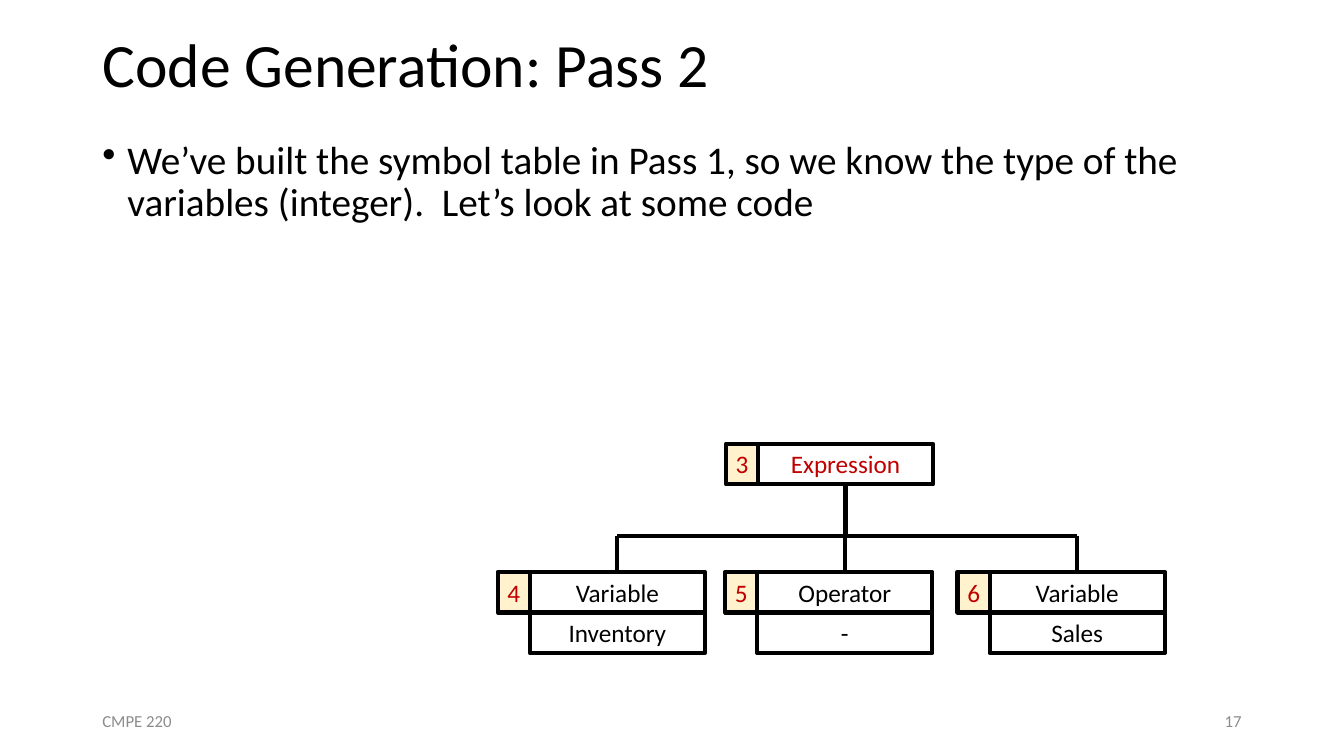
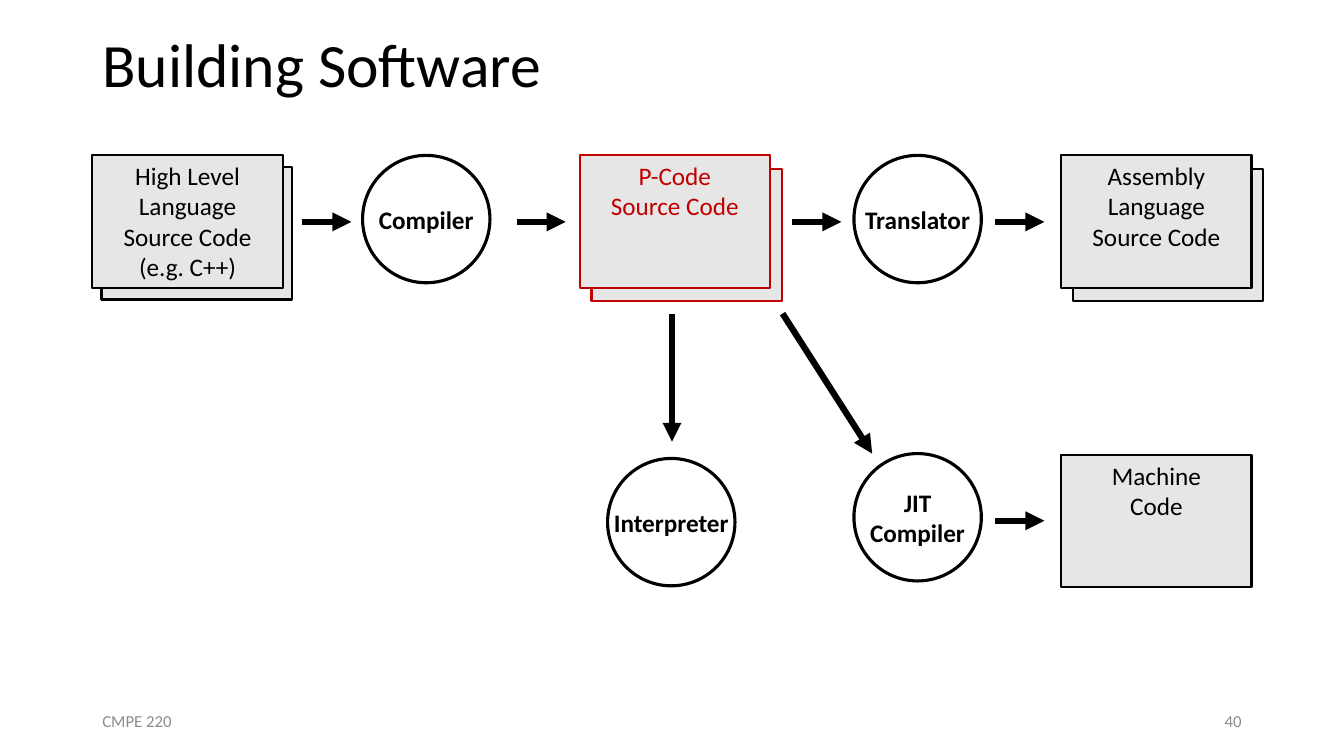
from lxml import etree
from pptx import Presentation
from pptx.dml.color import RGBColor
from pptx.enum import shapes, text
from pptx.oxml import ns
from pptx.util import Pt

BLACK = RGBColor(0x00, 0x00, 0x00)
RED = RGBColor(0xC0, 0x00, 0x00)
GRAY = RGBColor(0x8C, 0x8C, 0x8C)
CREAM = RGBColor(0xFF, 0xF2, 0xCC)
PAPER = RGBColor(0xE7, 0xE6, 0xE6)
FONT = "Calibri"
LEFT, CENTER, RIGHT = text.PP_ALIGN.LEFT, text.PP_ALIGN.CENTER, text.PP_ALIGN.RIGHT
TOP, MIDDLE = text.MSO_ANCHOR.TOP, text.MSO_ANCHOR.MIDDLE
RECTANGLE, OVAL = shapes.MSO_SHAPE.RECTANGLE, shapes.MSO_SHAPE.OVAL

MARGIN, CONTENT_WIDTH, TITLE_HEIGHT = 66, 828, 97
NODE_WIDTH, NODE_HEIGHT, BADGE_WIDTH = 125, 29, 23
SHEET_WIDTH, SHEET_HEIGHT = 136, 94.5
CIRCLE_SIZE, ARROW_LENGTH = 91, 35


class Deck:
    def __init__(self):
        self.presentation = Presentation()
        self.presentation.slide_width = Pt(960)
        self.presentation.slide_height = Pt(540)
        self.slide = None

    def add_slide(self, title, number):
        layout = self.presentation.slide_layouts[5]
        self.slide = self.presentation.slides.add_slide(layout)
        shape = self.slide.shapes.title
        shape.left, shape.top = Pt(MARGIN), Pt(0)
        shape.width, shape.height = Pt(CONTENT_WIDTH), Pt(TITLE_HEIGHT)
        self.set_text(shape, title, 44, align=LEFT, anchor=MIDDLE)
        shape.text_frame.paragraphs[0].line_spacing = 0.9
        self.text_box(MARGIN, 500, 216, 29, "CMPE 220", 12, GRAY, LEFT, MIDDLE)
        self.text_box(678, 500, 216, 29, str(number), 12, GRAY, RIGHT, MIDDLE)

    def set_text(self, shape, words, size, color=BLACK, align=CENTER, anchor=TOP,
                 bold=False, wrap=True):
        frame = shape.text_frame
        frame.text = words
        frame.word_wrap = wrap
        frame.auto_size = text.MSO_AUTO_SIZE.NONE
        frame.vertical_anchor = anchor
        paragraph = frame.paragraphs[0]
        paragraph.alignment = align
        font = paragraph.font
        font.name, font.size, font.bold = FONT, Pt(size), bold
        font.color.rgb = color

    def text_box(self, left, top, width, height, words, size, color=BLACK,
                 align=LEFT, anchor=TOP):
        shape = self.slide.shapes.add_textbox(Pt(left), Pt(top), Pt(width), Pt(height))
        self.set_text(shape, words, size, color, align, anchor)
        return shape

    def bullet(self, words):
        shape = self.text_box(MARGIN, TITLE_HEIGHT, CONTENT_WIDTH, 380, words, 28)
        paragraph = shape.text_frame.paragraphs[0]
        paragraph.line_spacing = 0.9
        properties = paragraph._p.get_or_add_pPr()
        properties.set("marL", str(Pt(18)))
        properties.set("indent", str(-Pt(18)))
        mark = etree.Element(ns.qn("a:buChar"), char="•")
        properties.find(ns.qn("a:defRPr")).addprevious(mark)

    def outline(self, kind, left, top, width, height, weight, fill=None, color=BLACK):
        shape = self.slide.shapes.add_shape(kind, Pt(left), Pt(top), Pt(width), Pt(height))
        shape.shadow.inherit = False
        if fill is None:
            shape.fill.background()
        else:
            shape.fill.solid()
            shape.fill.fore_color.rgb = fill
        shape.line.color.rgb = color
        shape.line.width = Pt(weight)
        return shape

    def node(self, left, top, words, color=BLACK):
        shape = self.outline(RECTANGLE, left, top, NODE_WIDTH, NODE_HEIGHT, 3)
        self.set_text(shape, words, 18, color)

    def badge(self, node_left, top, number):
        shape = self.outline(RECTANGLE, node_left - BADGE_WIDTH, top,
                             BADGE_WIDTH, NODE_HEIGHT, 3, CREAM)
        shape.text_frame.margin_left = shape.text_frame.margin_right = Pt(0)
        self.set_text(shape, str(number), 18, RED)

    def sheet(self, left, top, words, color=BLACK, offset=None):
        places = [(left, top)]
        if offset:
            places.insert(0, (left + offset[0], top + offset[1]))
        for x, y in places:
            shape = self.outline(RECTANGLE, x, y, SHEET_WIDTH, SHEET_HEIGHT, 1.5, PAPER, color)
        self.set_text(shape, words, 18, color)

    def circle(self, left, top, words):
        shape = self.outline(OVAL, left, top, CIRCLE_SIZE, CIRCLE_SIZE, 2.25)
        self.set_text(shape, words, 18, anchor=MIDDLE, bold=True, wrap=False)

    def line(self, x1, y1, x2, y2, weight=3):
        connector = self.slide.shapes.add_connector(
            shapes.MSO_CONNECTOR.STRAIGHT, Pt(x1), Pt(y1), Pt(x2), Pt(y2))
        connector.line.color.rgb = BLACK
        connector.line.width = Pt(weight)
        etree.SubElement(connector._element.spPr, ns.qn("a:effectLst"))
        return connector

    def arrow(self, x1, y1, x2, y2):
        connector = self.line(x1, y1, x2, y2, 4.5)
        outline = connector._element.spPr.find(ns.qn("a:ln"))
        etree.SubElement(outline, ns.qn("a:tailEnd"), type="triangle")


def build_code_generation(deck):
    deck.add_slide("Code Generation: Pass 2", 17)
    deck.bullet("We’ve built the symbol table in Pass 1, so we know the type of the "
                "variables (integer).  Let’s look at some code")
    root_left, root_top, bus, child_top = 541.5, 317, 383, 408.5
    children = [(378.5, "Variable", "Inventory"),
                (541, "Operator", "-"),
                (707, "Variable", "Sales")]
    centers = [left + NODE_WIDTH / 2 for left, _, _ in children]
    root_center = root_left + NODE_WIDTH / 2

    deck.line(root_center, root_top + NODE_HEIGHT, root_center, bus)
    deck.line(centers[0], bus, centers[-1], bus)
    for center in centers:
        deck.line(center, bus, center, child_top)
    deck.node(root_left, root_top, "Expression", RED)
    deck.badge(root_left, root_top, 3)
    for number, (left, kind, value) in enumerate(children, 4):
        deck.node(left, child_top, kind)
        deck.node(left, child_top + NODE_HEIGHT, value)
        deck.badge(left, child_top, number)


def build_building_software(deck):
    deck.add_slide("Building Software", 40)
    row_top, row_middle, machine_middle = 111, 158.5, 372
    deck.sheet(66, row_top, "High Level Language Source Code\v(e.g. C++)", offset=(6.5, 8.5))
    deck.sheet(414, row_top, "P-Code\vSource Code", RED, (8.5, 9.5))
    deck.sheet(758, row_top, "Assembly\vLanguage\vSource Code", offset=(8.5, 9.5))
    deck.sheet(758, 325, "Machine\vCode")

    for left, top, words in [(259, row_top, "Compiler"),
                             (610, row_top, "Translator"),
                             (434, 327.5, "Interpreter"),
                             (610, 324, "JIT\vCompiler")]:
        deck.circle(left, top, words)

    for left, middle in [(216, row_middle), (369, row_middle), (566, row_middle),
                         (711, row_middle), (711, machine_middle)]:
        deck.arrow(left, middle, left + ARROW_LENGTH, middle)
    deck.arrow(480, 224, 480, 315.5)
    deck.arrow(559, 224, 623, 324)


def main():
    deck = Deck()
    build_code_generation(deck)
    build_building_software(deck)
    deck.presentation.save("out.pptx")


if __name__ == "__main__":
    main()
